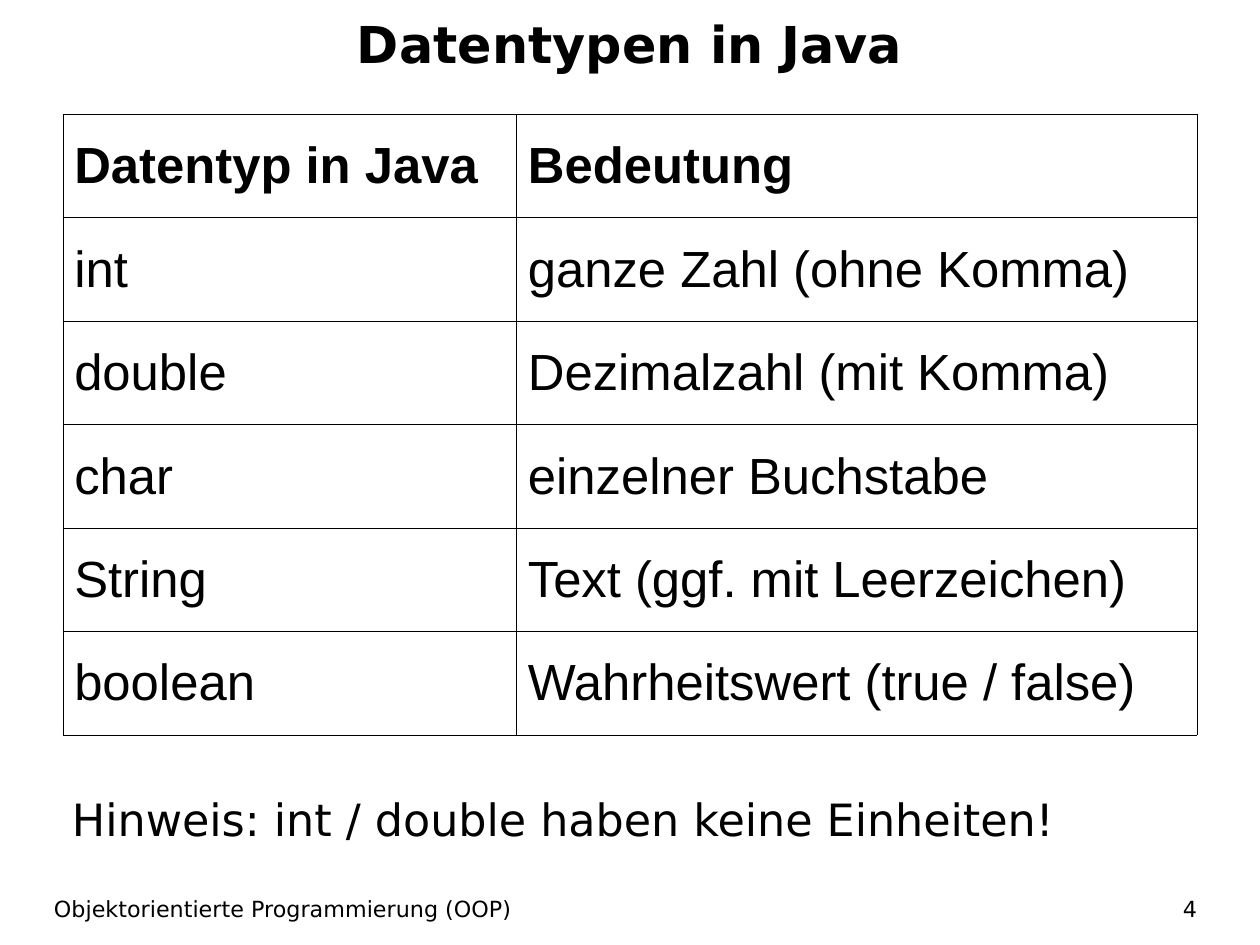
from lxml import etree
from pptx import Presentation
from pptx.dml.color import RGBColor
from pptx.enum import text
from pptx.oxml import ns
from pptx.util import Cm, Pt

BLACK = RGBColor(0x00, 0x00, 0x00)
TEXT_FONT = "DejaVu Sans"
TABLE_FONT = "Arial"


def add_run(paragraph, wording, font_name, size, bold=False):
    run = paragraph.add_run()
    run.text = wording
    run.font.name = font_name
    run.font.size = Pt(size)
    run.font.bold = bold
    run.font.color.rgb = BLACK


def add_borders(cell):
    properties = cell._tc.get_or_add_tcPr()
    for position, side in enumerate(("lnL", "lnR", "lnT", "lnB")):
        line = etree.Element(ns.qn(f"a:{side}"), w=str(Pt(0.57)))
        fill = etree.SubElement(line, ns.qn("a:solidFill"))
        etree.SubElement(fill, ns.qn("a:srgbClr"), val=str(BLACK))
        properties.insert(position, line)


presentation = Presentation()
presentation.slide_width = Cm(28)
presentation.slide_height = Cm(21)
slide = presentation.slides.add_slide(presentation.slide_layouts[6])

# Title, hint, footer and page number
LEFT, CENTER, RIGHT = text.PP_ALIGN.LEFT, text.PP_ALIGN.CENTER, text.PP_ALIGN.RIGHT
TOP, MIDDLE = text.MSO_ANCHOR.TOP, text.MSO_ANCHOR.MIDDLE
text_boxes = [
    ("Datentypen in Java", 0, 0.1, 28, 1.7, 32, True, CENTER, MIDDLE),
    ("Hinweis: int / double haben keine Einheiten!", 1.6, 17.6, 25.6, 1.8, 28, False, LEFT, TOP),
    ("Objektorientierte Programmierung (OOP)", 1.2, 19.8, 17.25, 0.8, 14, False, LEFT, MIDDLE),
    ("4", 20.07, 19.8, 6.53, 0.8, 14, False, RIGHT, MIDDLE),
]
for wording, left, top, width, height, size, bold, alignment, anchor in text_boxes:
    shape = slide.shapes.add_textbox(Cm(left), Cm(top), Cm(width), Cm(height))
    frame = shape.text_frame
    frame.word_wrap = True
    frame.vertical_anchor = anchor
    frame.margin_left = frame.margin_right = frame.margin_top = frame.margin_bottom = 0
    paragraph = frame.paragraphs[0]
    paragraph.alignment = alignment
    add_run(paragraph, wording, TEXT_FONT, size, bold)

# Table of data types
data_types = [
    ("Datentyp in Java", "Bedeutung"),
    ("int", "ganze Zahl (ohne Komma)"),
    ("double", "Dezimalzahl (mit Komma)"),
    ("char", "einzelner Buchstabe"),
    ("String", "Text (ggf. mit Leerzeichen)"),
    ("boolean", "Wahrheitswert (true / false)"),
]
column_widths = (10.08, 15.12)
row_height = 2.3
table = slide.shapes.add_table(
    len(data_types), len(column_widths), Cm(1.4), Cm(2.54),
    Cm(sum(column_widths)), Cm(row_height * len(data_types))).table
table.horz_banding = False
for column, width in zip(table.columns, column_widths):
    column.width = Cm(width)

for row_index, entries in enumerate(data_types):
    table.rows[row_index].height = Cm(row_height)
    for column_index, wording in enumerate(entries):
        cell = table.cell(row_index, column_index)
        cell.vertical_anchor = MIDDLE
        cell.margin_left = cell.margin_right = Cm(0.25)
        cell.margin_top = cell.margin_bottom = Cm(0.13)
        cell.fill.background()
        add_borders(cell)
        add_run(cell.text_frame.paragraphs[0], wording, TABLE_FONT, 32, bold=row_index == 0)

presentation.save("out.pptx")
